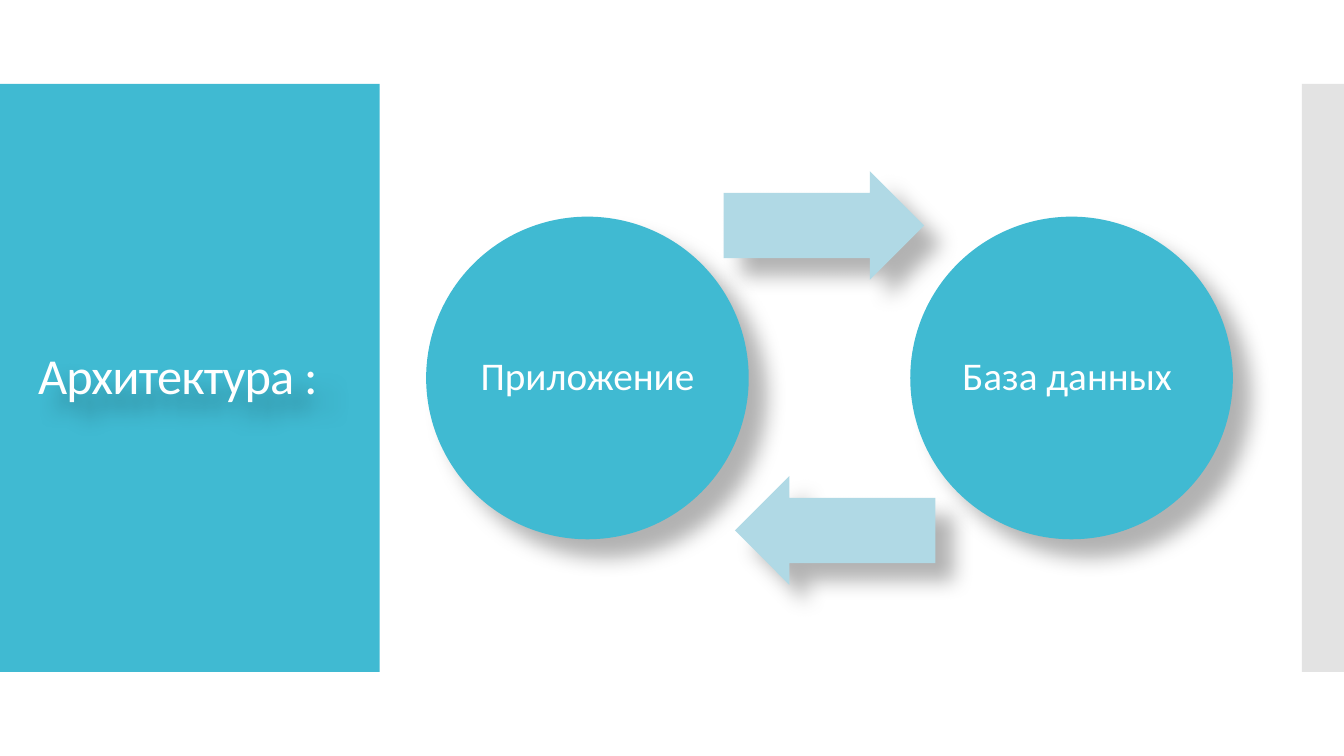
from lxml import etree
from pptx import Presentation
from pptx.dml.color import RGBColor
from pptx.enum.shapes import MSO_SHAPE
from pptx.enum.text import MSO_ANCHOR, PP_ALIGN
from pptx.oxml.ns import qn
from pptx.util import Cm, Pt

RECTANGLE, CIRCLE, ARROW = MSO_SHAPE.RECTANGLE, MSO_SHAPE.OVAL, MSO_SHAPE.RIGHT_ARROW
MIDDLE = MSO_ANCHOR.MIDDLE
LEFT, CENTER = PP_ALIGN.LEFT, PP_ALIGN.CENTER

TITLE = "Архитектура :"
STEPS = [
    {"label": "Приложение ", "left": 10.74, "arrow_left": 18.24, "arrow_side": -1, "rotation": 0},
    {"label": "База данных ", "left": 22.94, "arrow_left": 18.52, "arrow_side": 1, "rotation": 180},
]
TEAL, PALE, GRAY, WHITE, BLACK = "40BAD2", "B0D9E5", "C8C8C8", "FFFFFF", "000000"
FONT = "Calibri"

SLIDE_WIDTH, SLIDE_HEIGHT = 33.87, 19.05
MIDDLE_Y = SLIDE_HEIGHT / 2
PANEL_HEIGHT, PANEL_WIDTH, STRIP_WIDTH = 14.82, 9.57, 1.06
DIAMETER = 8.13
ARROW_WIDTH, ARROW_HEIGHT, ARROW_OFFSET = 5.05, 2.74, 3.84


def paint(color_format, color):
    color_format.rgb = RGBColor.from_string(color)


def add_alpha(color_element, percent):
    etree.SubElement(color_element, qn("a:alpha"), val=str(percent * 1000))


def add_shadow(shape):
    shape.shadow.inherit = False
    effects = shape._element.spPr.find(qn("a:effectLst"))
    shadow = etree.SubElement(
        effects, qn("a:outerShdw"), blurRad=str(Pt(15)), dist=str(Pt(18)),
        dir=str(45 * 60000), algn="tl", rotWithShape="0")
    add_alpha(etree.SubElement(shadow, qn("a:srgbClr"), val=BLACK), 30)


def add_filled(slide, kind, left, center_y, width, height, color):
    shape = slide.shapes.add_shape(
        kind, Cm(left), Cm(center_y - height / 2), Cm(width), Cm(height))
    shape.shadow.inherit = False
    shape.fill.solid()
    paint(shape.fill.fore_color, color)
    shape.line.fill.background()
    return shape


def write(shape, text, size, alignment):
    frame = shape.text_frame
    frame.text = text
    frame.word_wrap = True
    frame.vertical_anchor = MIDDLE
    paragraph = frame.paragraphs[0]
    paragraph.alignment = alignment
    paragraph.line_spacing = 0.9
    font = paragraph.runs[0].font
    font.name, font.size = FONT, Pt(size)
    paint(font.color, WHITE)
    return font


def add_title(slide):
    box = slide.shapes.add_textbox(Cm(0.71), Cm(3.13), Cm(8.18), Cm(12.78))
    font = write(box, TITLE, 36, LEFT)
    font._element.set("spc", "-60")
    add_shadow(box)


def add_step(slide, step):
    circle = add_filled(slide, CIRCLE, step["left"], MIDDLE_Y, DIAMETER, DIAMETER, TEAL)
    add_shadow(circle)
    write(circle, step["label"], 28, CENTER)
    frame = circle.text_frame
    frame.margin_left = frame.margin_right = Cm(0.1)
    frame.margin_top = frame.margin_bottom = Cm(0.1)

    arrow = add_filled(slide, ARROW, step["arrow_left"],
                       MIDDLE_Y + step["arrow_side"] * ARROW_OFFSET,
                       ARROW_WIDTH, ARROW_HEIGHT, PALE)
    arrow.adjustments[0], arrow.adjustments[1] = 0.6, 0.5
    arrow.rotation = step["rotation"]
    add_shadow(arrow)


def main():
    presentation = Presentation()
    presentation.slide_width, presentation.slide_height = Cm(SLIDE_WIDTH), Cm(SLIDE_HEIGHT)
    slide = presentation.slides.add_slide(presentation.slide_layouts[6])
    add_filled(slide, RECTANGLE, 0, MIDDLE_Y, PANEL_WIDTH, PANEL_HEIGHT, TEAL)
    strip = add_filled(slide, RECTANGLE, SLIDE_WIDTH - STRIP_WIDTH, MIDDLE_Y,
                       STRIP_WIDTH, PANEL_HEIGHT, GRAY)
    add_alpha(strip._element.spPr.find(qn("a:solidFill"))[0], 50)
    add_title(slide)
    for step in STEPS:
        add_step(slide, step)
    presentation.save("out.pptx")


if __name__ == "__main__":
    main()
